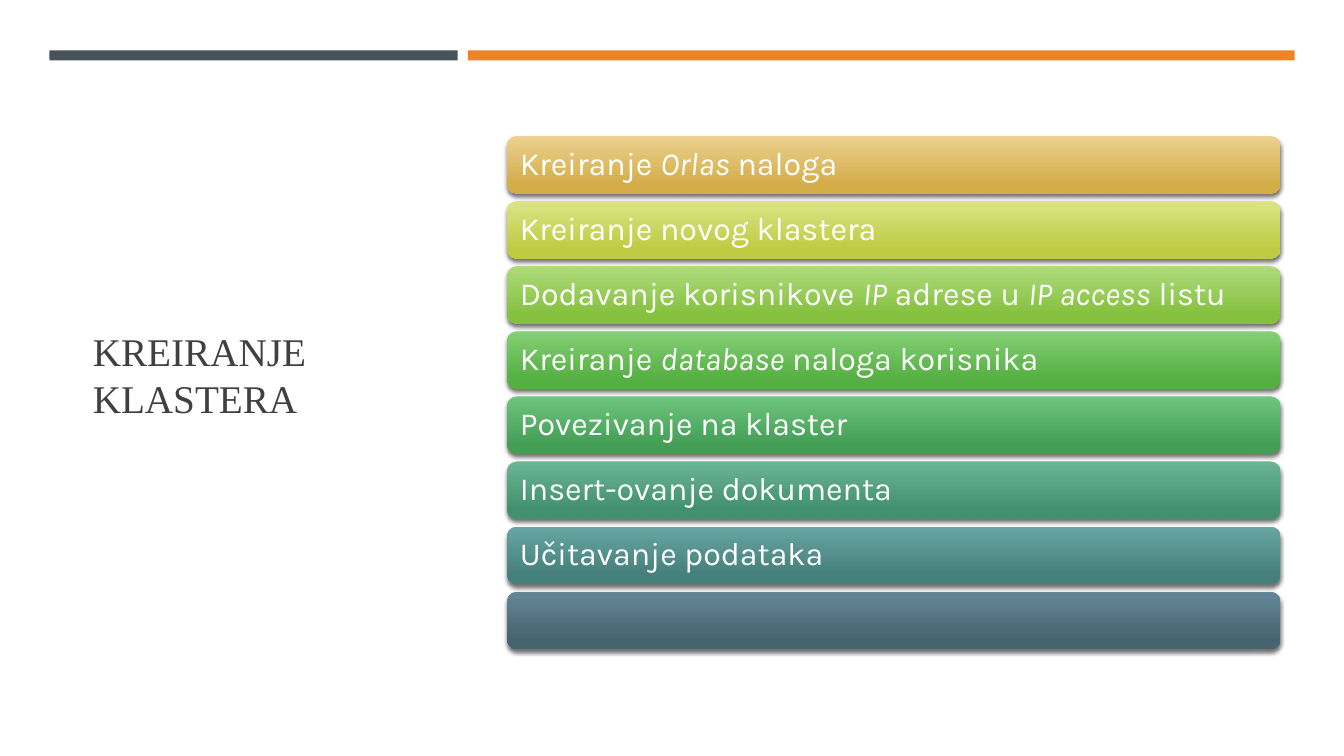
from lxml import etree
from pptx import Presentation
from pptx.dml.color import RGBColor
from pptx.enum.shapes import MSO_SHAPE as Shape
from pptx.enum.text import MSO_ANCHOR as Anchor, PP_ALIGN as Align
from pptx.oxml.ns import qn
from pptx.util import Inches, Pt

WHITE = RGBColor(0xFF, 0xFF, 0xFF)
CHARCOAL = RGBColor(0x40, 0x40, 0x40)
SLATE = RGBColor(0x46, 0x53, 0x59)
ORANGE = RGBColor(0xED, 0x84, 0x28)

# Text (italics between asterisks), upper and lower gradient colour
STEPS = [
    ("Kreiranje *Orlas* naloga", RGBColor(0xEC, 0xD1, 0x90), RGBColor(0xD4, 0xAD, 0x49)),
    ("Kreiranje novog klastera", RGBColor(0xDB, 0xE4, 0x86), RGBColor(0xBF, 0xCB, 0x43)),
    ("Dodavanje korisnikove *IP* adrese u *IP access* listu",
     RGBColor(0xAF, 0xDB, 0x7C), RGBColor(0x85, 0xC1, 0x3F)),
    ("Kreiranje *database* naloga korisnika",
     RGBColor(0x84, 0xD0, 0x75), RGBColor(0x55, 0xAF, 0x42)),
    ("Povezivanje na klaster", RGBColor(0x6E, 0xC5, 0x7E), RGBColor(0x44, 0x9E, 0x56)),
    ("Insert-ovanje dokumenta", RGBColor(0x6A, 0xB6, 0x94), RGBColor(0x43, 0x90, 0x6E)),
    ("Učitavanje podataka", RGBColor(0x67, 0xA6, 0xA2), RGBColor(0x45, 0x80, 0x7C)),
    ("", RGBColor(0x64, 0x87, 0x97), RGBColor(0x46, 0x63, 0x70)),
]
FIRST_TOP, LAST_TOP = 1.35, 5.87


def add_span(para, text, *, font, size, color, italic=False):
    span = para.add_run()
    span.text = text
    span.font.name = font
    span.font.size = Pt(size)
    span.font.color.rgb = color
    span.font.italic = italic


def add_box(page, kind, left, top, width, height):
    """Add a preset shape without outline or shadow."""
    box = page.shapes.add_shape(
        kind, Inches(left), Inches(top), Inches(width), Inches(height))
    box.line.fill.background()
    box.shadow.inherit = False
    return box


def add_rule(page, left, width, color):
    rule = add_box(page, Shape.RECTANGLE, left, 0.5, width, 0.1)
    rule.fill.solid()
    rule.fill.fore_color.rgb = color


def fill_gradient(box, upper, lower):
    box.fill.gradient()
    box.fill.gradient_angle = 270
    for stop, color, position in zip(box.fill.gradient_stops, (upper, lower), (0, 0.84)):
        stop.color.rgb = color
        stop.position = position


def add_shadow(box):
    effects = box._element.spPr.find(qn("a:effectLst"))
    shadow = etree.SubElement(
        effects, qn("a:outerShdw"), blurRad=str(Pt(3)), dist=str(Pt(2)),
        dir="5400000", algn="ctr", rotWithShape="0")
    black = etree.SubElement(shadow, qn("a:srgbClr"), val="000000")
    etree.SubElement(black, qn("a:alpha"), val="55000")


def add_step(page, top, text, upper, lower):
    box = add_box(page, Shape.ROUNDED_RECTANGLE, 5.03, top, 7.67, 0.57)
    fill_gradient(box, upper, lower)
    add_shadow(box)
    if not text:
        return
    frame = box.text_frame
    frame.word_wrap = True
    frame.vertical_anchor = Anchor.MIDDLE
    frame.margin_left = frame.margin_right = Inches(0.1)
    frame.margin_top = frame.margin_bottom = Inches(0.1)
    para = frame.paragraphs[0]
    para.alignment = Align.LEFT
    para.line_spacing = 0.9
    for index, part in enumerate(text.split("*")):
        add_span(para, part, font="Karla", size=23, color=WHITE, italic=index % 2 == 1)


def set_title(page, text):
    title = page.shapes.title
    title.left, title.top = Inches(0.82), Inches(1.14)
    title.width, title.height = Inches(3.34), Inches(5.15)
    title.text_frame.word_wrap = True
    title.text_frame.vertical_anchor = Anchor.MIDDLE
    para = title.text_frame.paragraphs[0]
    para.alignment = Align.LEFT
    add_span(para, text, font="Times New Roman", size=28, color=CHARCOAL)


def main():
    deck = Presentation()
    deck.slide_width, deck.slide_height = Inches(13.33), Inches(7.5)
    page = deck.slides.add_slide(deck.slide_layouts.get_by_name("Title Only"))
    set_title(page, "KREIRANJE KLASTERA")
    add_rule(page, 0.49, 4.05, SLATE)
    add_rule(page, 4.64, 8.2, ORANGE)
    pitch = (LAST_TOP - FIRST_TOP) / (len(STEPS) - 1)
    for index, step in enumerate(STEPS):
        add_step(page, FIRST_TOP + index * pitch, *step)
    deck.save("out.pptx")


if __name__ == "__main__":
    main()
